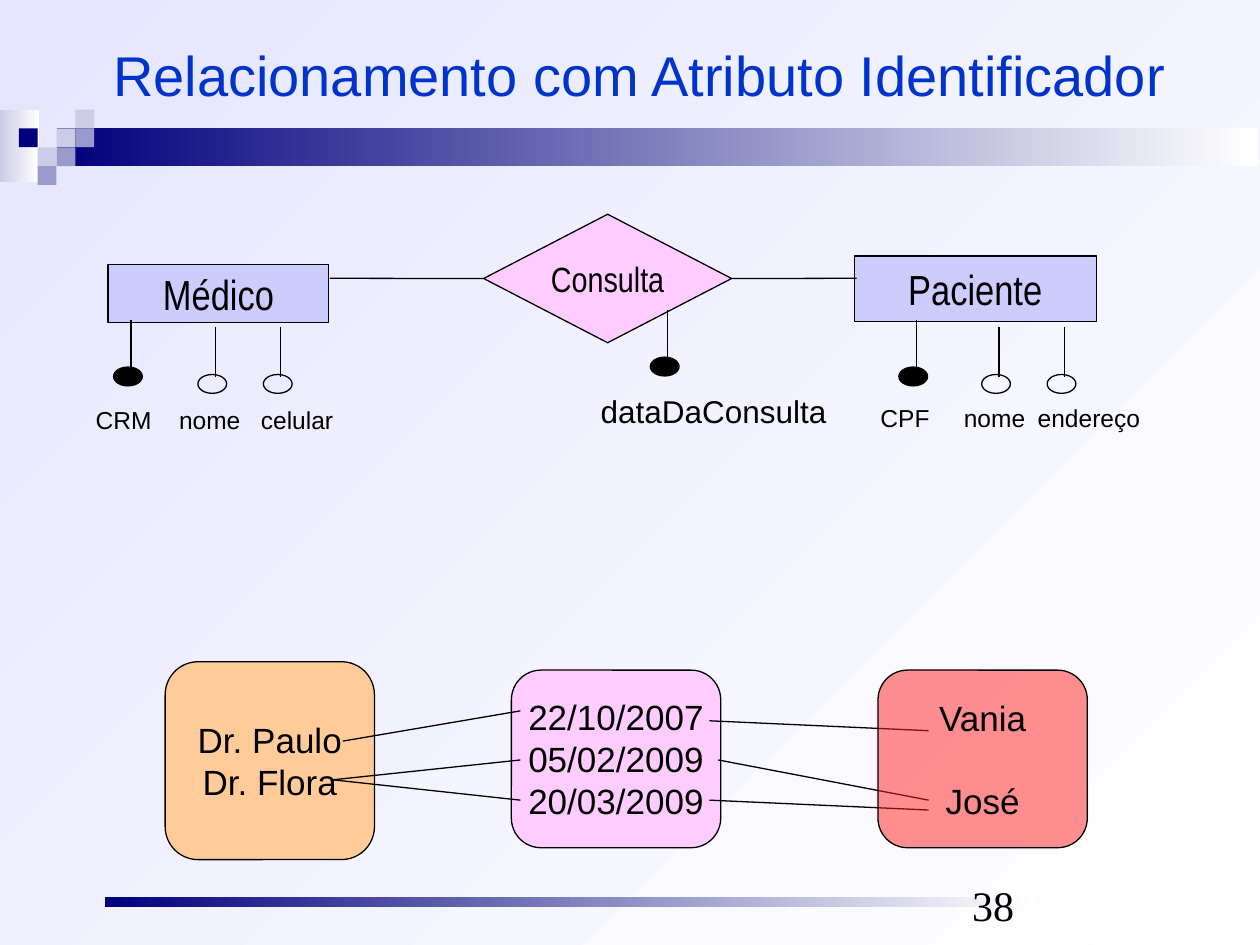
from dataclasses import dataclass

from lxml.etree import SubElement
from pptx import Presentation
from pptx.dml.color import RGBColor
from pptx.enum.shapes import MSO_CONNECTOR, MSO_SHAPE
from pptx.enum.text import MSO_ANCHOR, PP_ALIGN
from pptx.oxml.ns import qn
from pptx.util import Cm, Pt


@dataclass(frozen=True)
class Theme:
    black: str = "000000"
    white: str = "FFFFFF"
    blue: str = "0033CC"
    navy: str = "00007D"
    mid: str = "9999CC"
    light: str = "CCCCE6"
    pale: str = "E5E5FF"
    entity: str = "CCCCFF"
    relation: str = "FFCCFF"
    orange: str = "FFCC99"
    red: str = "FF2121"
    sans: str = "Arial"
    narrow: str = "Arial Narrow"
    serif: str = "Times New Roman"
    title: int = 32
    large: int = 24
    body: int = 20
    label: int = 18
    small: int = 14
    line: float = 0.75


theme = Theme()
presentation = Presentation()
presentation.slide_width = Cm(25.4)
presentation.slide_height = Cm(19.05)
slide = presentation.slides.add_slide(presentation.slide_layouts[6])


def add_shape(kind, left, top, width, height, fill=None, outlined=True):
    shape = slide.shapes.add_shape(kind, Cm(left), Cm(top), Cm(width), Cm(height))
    shape.shadow.inherit = False
    if fill:
        shape.fill.solid()
        shape.fill.fore_color.rgb = RGBColor.from_string(fill)
    else:
        shape.fill.background()
    if outlined:
        shape.line.color.rgb = RGBColor.from_string(theme.black)
        shape.line.width = Pt(theme.line)
    else:
        shape.line.fill.background()
    return shape


def write(shape, lines, font, size, color=theme.black, centered=False,
          anchor=MSO_ANCHOR.MIDDLE, tabs=()):
    frame = shape.text_frame
    frame.word_wrap = not centered
    frame.vertical_anchor = anchor
    for index, line in enumerate(lines):
        paragraph = frame.add_paragraph() if index else frame.paragraphs[0]
        paragraph.alignment = PP_ALIGN.CENTER if centered else PP_ALIGN.LEFT
        if tabs:
            tab_list = SubElement(paragraph._p.get_or_add_pPr(), qn("a:tabLst"))
            for position in tabs:
                SubElement(tab_list, qn("a:tab"), pos=str(Cm(position)), algn="l")
        run = paragraph.add_run()
        run.text = line
        run.font.name = font
        run.font.size = Pt(size)
        run.font.color.rgb = RGBColor.from_string(color)


corner = add_shape(MSO_SHAPE.RECTANGLE, 0, 2.21, 0.79, 1.47, outlined=False)
header_bar = add_shape(MSO_SHAPE.RECTANGLE, 1.14, 2.59, 24.23, 0.76, outlined=False)
footer_bar = add_shape(MSO_SHAPE.RECTANGLE, 2.11, 18.08, 18.75, 0.2, outlined=False)

for fill, end_color, angle in [
    (slide.background.fill, theme.pale, 135),
    (corner.fill, theme.light, 180),
    (header_bar.fill, theme.navy, 180),
    (footer_bar.fill, theme.navy, 180),
]:
    fill.gradient()
    fill.gradient_angle = angle
    for stop, color, position in zip(fill.gradient_stops, (theme.white, end_color), (0, 1)):
        stop.color.rgb = RGBColor.from_string(color)
        stop.position = position

tile = 0.38
for column, row, color in [
    (2, 1, theme.light), (3, 0, theme.light), (3, 1, theme.mid), (1, 2, theme.light),
    (0, 1, theme.navy), (2, 2, theme.mid), (1, 3, theme.mid),
]:
    add_shape(MSO_SHAPE.RECTANGLE, tile * (column + 1), 2.21 + tile * row,
              tile, tile, color, outlined=False)

title = slide.shapes.add_textbox(Cm(2.03), Cm(0.33), Cm(22.86), Cm(2.31))
write(title, ["Relacionamento com Atributo Identificador"], theme.sans, theme.title, theme.blue)

for name, left, top, width, height in [
    ("Médico", 2.18, 5.33, 4.45, 1.17),
    ("Paciente", 17.22, 5.16, 4.88, 1.32),
]:
    entity = add_shape(MSO_SHAPE.RECTANGLE, left, top, width, height, theme.entity)
    write(entity, [name], theme.narrow, theme.large, centered=True)

relationship = add_shape(MSO_SHAPE.FLOWCHART_DECISION, 9.75, 4.32, 5, 2.59, theme.relation)
write(relationship, ["Consulta"], theme.narrow, theme.body, centered=True)

for lines, left, top, height, color in [
    (["Dr. Paulo", "Dr. Flora"], 3.33, 13.34, 3.99, theme.orange),
    (["22/10/2007", "05/02/2009", "20/03/2009"], 10.31, 13.51, 3.58, theme.relation),
]:
    instances = add_shape(MSO_SHAPE.ROUNDED_RECTANGLE, left, top, 4.22, height, color)
    write(instances, lines, theme.sans, theme.body, centered=True)

links = [
    (6.65, 5.61, 9.75, 5.61, 1),
    (17.27, 5.61, 14.75, 5.61, 3),
    (6.91, 14.94, 10.49, 14.33, None),
    (18.72, 14.73, 14.3, 14.53, None),
    (6.71, 15.72, 10.49, 15.32, None),
    (6.71, 15.72, 10.49, 16.13, None),
    (18.72, 16.13, 14.48, 15.32, None),
    (18.72, 16.33, 14.3, 16.13, None),
]
for stem, top, identifier in [
    (13.46, 6.25, True),
    (2.64, 6.45, True), (4.34, 6.6, False), (5.66, 6.6, False),
    (18.47, 6.45, True), (20.14, 6.6, False), (21.46, 6.6, False),
]:
    links.append((stem, top, stem, top + 0.99, None))
    add_shape(MSO_SHAPE.OVAL, stem - 0.35, top + 0.95, 0.58, 0.38,
              theme.black if identifier else None)

for start_x, start_y, end_x, end_y, site in links:
    connector = slide.shapes.add_connector(
        MSO_CONNECTOR.STRAIGHT, Cm(start_x), Cm(start_y), Cm(end_x), Cm(end_y))
    connector.line.color.rgb = RGBColor.from_string(theme.black)
    connector.line.width = Pt(theme.line)
    SubElement(connector._element.spPr, qn("a:effectLst"))
    if site is not None:
        connector.end_connect(relationship, site)

for text, left, top, width, height, size, tabs in [
    ("dataDaConsulta", 11.86, 7.77, 5.25, 1.02, theme.label, ()),
    ("CRM\tnome\tcelular", 1.68, 8.05, 5.48, 0.86, theme.small, (1.68, 3.33)),
    ("CPF\tnome\tendereço", 17.5, 8, 5.97, 0.86, theme.small, (1.68, 3.17)),
]:
    label = slide.shapes.add_textbox(Cm(left), Cm(top), Cm(width), Cm(height))
    write(label, [text], theme.sans, size, anchor=MSO_ANCHOR.TOP, tabs=tabs)

patients = add_shape(MSO_SHAPE.ROUNDED_RECTANGLE, 17.7, 13.51, 4.22, 3.58, theme.red)
SubElement(patients.fill._xPr.find(qn("a:solidFill"))[0], qn("a:alpha"), val="50000")
write(patients, ["Vania", "José"], theme.sans, theme.body, centered=True)
patients.text_frame.paragraphs[1].space_before = Pt(23)

page_number = slide.shapes.add_textbox(Cm(19.35), Cm(17.6), Cm(5.92), Cm(1.27))
write(page_number, ["38"], theme.serif, theme.large, anchor=MSO_ANCHOR.BOTTOM)

presentation.save("out.pptx")
